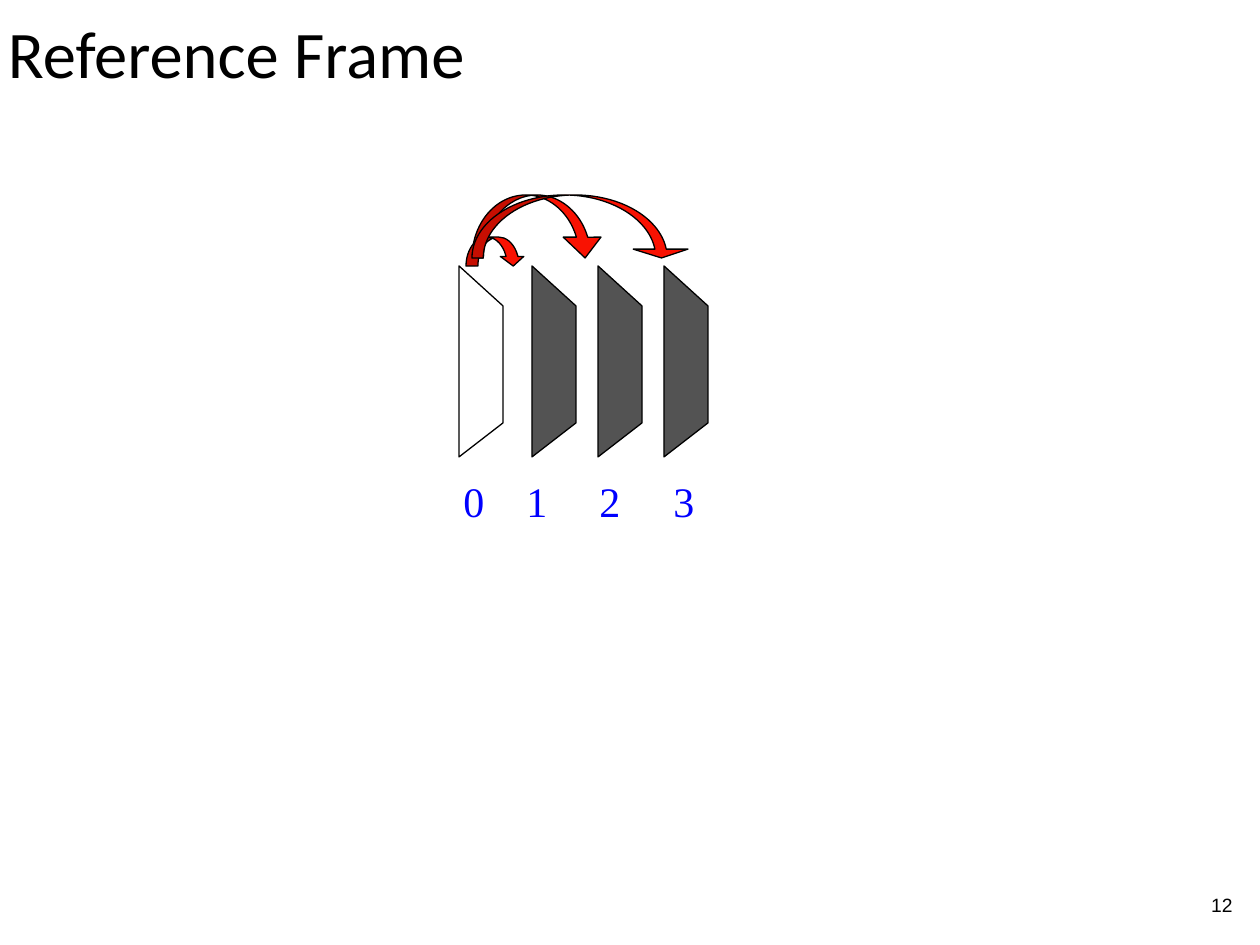
import pptx
import pptx.util
import pptx.dml.color
import pptx.enum.shapes
import pptx.enum.text
import pptx.oxml
import pptx.oxml.ns
from dataclasses import dataclass

EMU_PER_PX = 914400 / 126
ALIGN = pptx.enum.text.PP_ALIGN
ANCHOR = pptx.enum.text.MSO_ANCHOR


@dataclass(frozen=True)
class Theme:
    ink: str = "000000"
    frame: str = "535353"
    arrow: str = "F91202"
    label: str = "0000FF"
    title_font: str = "Calibri"
    label_font: str = "Times New Roman"
    number_font: str = "Arial"
    title_size: int = 38
    label_size: int = 24
    number_size: int = 11
    line: float = 0.75


THEME = Theme()


def px(n):
    return pptx.util.Emu(round(n * EMU_PER_PX))


def rgb(value):
    return pptx.dml.color.RGBColor.from_string(value)


def style_text(p, font, size, color, align=ALIGN.LEFT):
    p.alignment = align
    p.font.name = font
    p.font.size = pptx.util.Pt(size)
    p.font.color.rgb = rgb(color)


def style_shape(s, fill):
    s.shadow.inherit = False
    if fill:
        s.fill.solid()
        s.fill.fore_color.rgb = rgb(fill)
    else:
        s.fill.background()
    s.line.color.rgb = rgb(THEME.ink)
    s.line.width = pptx.util.Pt(THEME.line)


def set_title(slide, text):
    s = slide.shapes.title
    s.left, s.top, s.width, s.height = px(-1), px(-1), px(1134), px(106)
    tf = s.text_frame
    tf.text = text
    tf.vertical_anchor = ANCHOR.MIDDLE
    tf.margin_left = tf.margin_right = tf.margin_top = tf.margin_bottom = px(9)
    style_text(tf.paragraphs[0], THEME.title_font, THEME.title_size, THEME.ink)


def add_text(slide, box, text):
    tf = slide.shapes.add_textbox(*map(px, box)).text_frame
    tf.word_wrap = True
    p = tf.paragraphs[0]
    p.text = text
    return p


def add_tabs(p, stops):
    tabs = pptx.oxml.parse_xml(f"<a:tabLst {pptx.oxml.ns.nsdecls('a')}/>")
    for stop in stops:
        tab = tabs.makeelement(pptx.oxml.ns.qn("a:tab"), {"pos": str(px(stop)), "algn": "l"})
        tabs.append(tab)
    p._p.get_or_add_pPr().append(tabs)


def add_frame(slide, left, fill):
    right = left + 44
    builder = slide.shapes.build_freeform(left, 266, scale=EMU_PER_PX)
    builder.add_line_segments([(left, 457), (right, 423), (right, 306)], close=True)
    style_shape(builder.convert_to_shape(), fill)


def add_arrow(slide, box, adjustments):
    kind = pptx.enum.shapes.MSO_SHAPE.CURVED_DOWN_ARROW
    s = slide.shapes.add_shape(kind, *map(px, box))
    for i, value in enumerate(adjustments):
        s.adjustments[i] = value
    style_shape(s, THEME.arrow)


def main():
    prs = pptx.Presentation()
    prs.slide_width, prs.slide_height = px(1260), px(945)
    slide = prs.slides.add_slide(prs.slide_layouts[5])
    set_title(slide, "Reference Frame")

    # Reference frame, then the three frames predicted from it
    add_frame(slide, 459, None)
    for i in range(3):
        add_frame(slide, 532 + 66 * i, THEME.frame)

    # Arrows from the reference frame
    add_arrow(slide, (472, 195, 132, 63), (0.18, 0.6, 0.33))
    add_arrow(slide, (466, 237, 59, 29), (0.41, 0.81, 0.33))
    add_arrow(slide, (472, 195, 217, 63), (0.18, 0.87, 0.14))

    # Frame numbers, spaced by tab stops
    p = add_text(slide, (451, 469, 294, 68), "0\t1\t2\t3")
    add_tabs(p, (63, 136, 210))
    style_text(p, THEME.label_font, THEME.label_size, THEME.label)

    # Page number
    p = add_text(slide, (1184, 887, 61, 42), "12")
    style_text(p, THEME.number_font, THEME.number_size, THEME.ink, ALIGN.RIGHT)

    prs.save("out.pptx")


if __name__ == "__main__":
    main()
